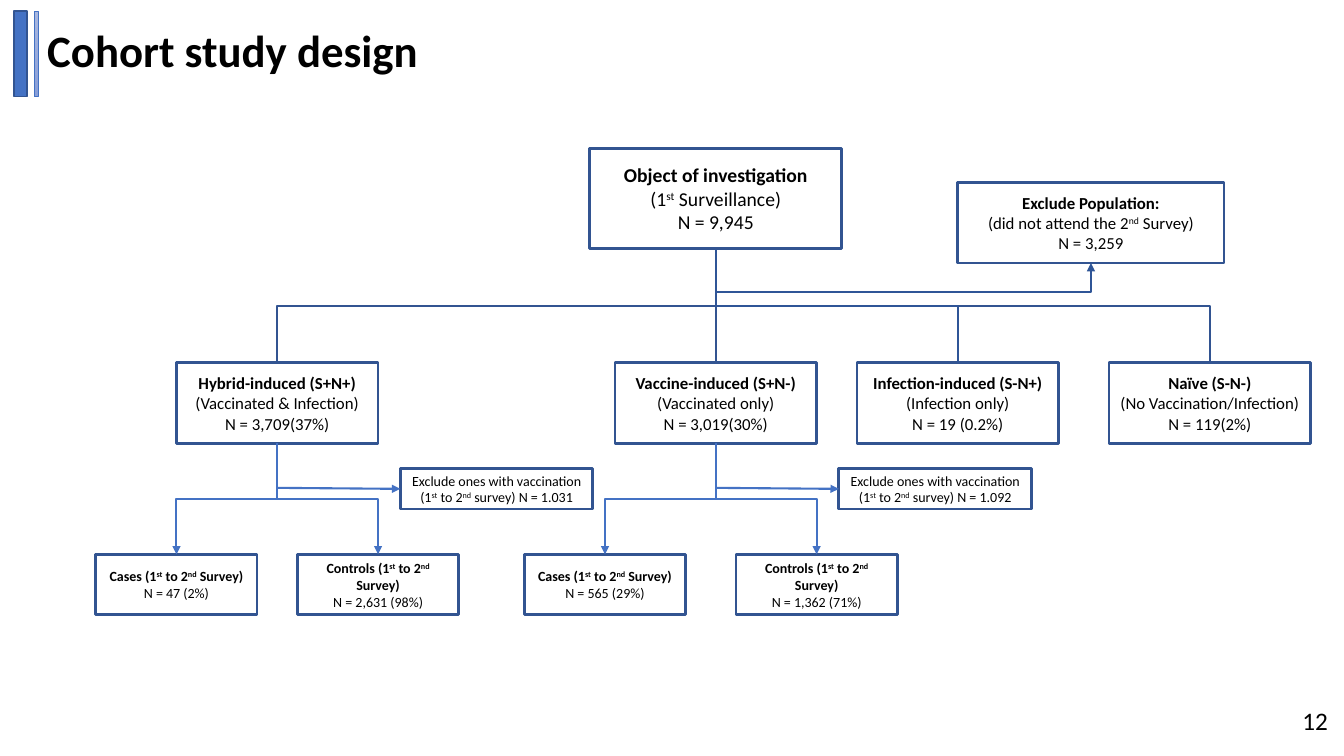
from lxml import etree
from pptx import Presentation, util as u
from pptx.dml.color import RGBColor
from pptx.enum import shapes, text
from pptx.oxml import ns

NAVY, DEEP, BLUE, BLACK = "325491", "2F5597", "4472C4", "000000"
FONT = "Calibri"
rgb = RGBColor.from_string

deck = Presentation()
deck.slide_width, deck.slide_height = u.Inches(13.33), u.Inches(7.5)
page = deck.slides.add_slide(deck.slide_layouts[6])


def write(box, lines, size, bold_first=True, align=text.PP_ALIGN.CENTER):
    """Fill a box with one paragraph per line; ^marks^ enclose superscripts."""
    frame = box.text_frame
    frame.word_wrap = True
    frame.vertical_anchor = text.MSO_ANCHOR.MIDDLE
    for index, line in enumerate(lines):
        para = frame.add_paragraph() if index else frame.paragraphs[0]
        para.alignment = align
        para.font.name, para.font.size = FONT, u.Pt(size)
        para.font.bold = bold_first and index == 0
        para.font.color.rgb = rgb(BLACK)
        for part, words in enumerate(line.split("^")):
            span = para.add_run()
            span.text = words
            if part % 2:
                span.font._element.set("baseline", "30000")


def add_bar(left, top, width, height, line_colour, line_width):
    bar = page.shapes.add_shape(shapes.MSO_SHAPE.RECTANGLE,
                                *map(u.Inches, (left, top, width, height)))
    bar.shadow.inherit = False
    bar.fill.background()
    bar.line.color.rgb = rgb(line_colour)
    bar.line.width = u.Pt(line_width)
    return bar


# Title and page number
title = page.shapes.add_textbox(*map(u.Inches, (0.37, 0.13, 4.22, 0.8)))
write(title, ["Cohort study design"], 32, align=text.PP_ALIGN.LEFT)
title.text_frame.paragraphs[0].line_spacing = 0.9
number = page.shapes.add_textbox(*map(u.Inches, (12.82, 6.95, 0.46, 0.4)))
write(number, ["12"], 18, bold_first=False, align=text.PP_ALIGN.LEFT)
number.text_frame.word_wrap = False

wide_bar = add_bar(0.14, 0.11, 0.13, 0.85, NAVY, 1)
wide_bar.fill.solid()
wide_bar.fill.fore_color.rgb = rgb(BLUE)
thin_bar = add_bar(0.34, 0.11, 0.04, 0.85, BLUE, 0.5)
thin_bar.fill.gradient()
thin_bar.fill.gradient_angle = 270
for stop, colour in zip(thin_bar.fill.gradient_stops, ("A8B7DF", "889ED7")):
    stop.color.rgb = rgb(colour)

# Rows of the flow chart, and the centre lines of its four groups
ROOT_TOP, ROOT_BOTTOM = 1.47, 2.47
GROUP_TOP, GROUP_BOTTOM = 3.6, 4.4
DROPOUT_TOP, DROPOUT_MIDDLE, OUTCOME_TOP = 4.65, 4.85, 5.5
HYBRID, VACCINE, INFECTION, NAIVE = 2.75, 7.1, 9.5, 12
EXCLUDED, EXCLUDED_BOTTOM = 10.82, 2.61

# centre, top, width, height, font size, lines
boxes = [
    (VACCINE, ROOT_TOP, 2.5, 1, 14,
     ["Object of investigation", "(1^st^ Surveillance)", "N = 9,945"]),
    (EXCLUDED, 1.81, 2.64, 0.8, 12,
     ["Exclude Population:", "(did not attend the 2^nd^ Survey)", "N = 3,259"]),
]
groups = [
    (HYBRID, "Hybrid-induced (S+N+)", "(Vaccinated & Infection)", "N = 3,709(37%)"),
    (VACCINE, "Vaccine-induced (S+N-)", "(Vaccinated only)", "N = 3,019(30%)"),
    (INFECTION, "Infection-induced (S-N+)", "(Infection only)", "N = 19 (0.2%)"),
    (NAIVE, "Naïve (S-N-)", "(No Vaccination/Infection)", "N = 119(2%)"),
]
boxes += [(centre, GROUP_TOP, 2, 0.8, 12, lines) for centre, *lines in groups]

# route, start, end, colour, arrowhead
links = [
    ("drop", (VACCINE, ROOT_BOTTOM), (HYBRID, GROUP_TOP), NAVY, False),
    ("straight", (VACCINE, ROOT_BOTTOM), (VACCINE, GROUP_TOP), NAVY, False),
    ("drop", (VACCINE, ROOT_BOTTOM), (NAIVE, GROUP_TOP), NAVY, False),
    ("drop", (VACCINE, ROOT_BOTTOM), (INFECTION, GROUP_TOP), DEEP, False),
    ("corner", (VACCINE, 2.9), (EXCLUDED, EXCLUDED_BOTTOM), DEEP, True),
]

# group, case centre, control centre, dropouts, cases, controls
surveys = [
    (HYBRID, 1.75, 3.75, "1.031", "47 (2%)", "2,631 (98%)"),
    (VACCINE, 6, 8.1, "1.092", "565 (29%)", "1,362 (71%)"),
]
for group, case, control, dropouts, cases, controls in surveys:
    dropout_left = group + 1.22
    boxes.append((dropout_left + 1.91 / 2, DROPOUT_TOP, 1.91, 0.4, 10, [
        f"Exclude ones with vaccination (1^st^ to 2^nd^ survey) N = {dropouts}"]))
    links.append(("straight", (group, DROPOUT_MIDDLE - 0.01),
                  (dropout_left, DROPOUT_MIDDLE), BLUE, True))
    for centre, name, count in ((case, "Cases", cases), (control, "Controls", controls)):
        boxes.append((centre, OUTCOME_TOP, 1.6, 0.6, 10,
                      [f"{name} (1^st^ to 2^nd^ Survey)", f"N = {count}"]))
        links.append(("drop", (group, GROUP_BOTTOM), (centre, OUTCOME_TOP), BLUE, True))

for centre, top, width, height, size, lines in boxes:
    box = add_bar(centre - width / 2, top, width, height, NAVY, 2)
    write(box, lines, size, bold_first=len(lines) > 1)

for route, (x1, y1), (x2, y2), colour, arrow in links:
    kind = shapes.MSO_CONNECTOR.STRAIGHT if route == "straight" else shapes.MSO_CONNECTOR.ELBOW
    lean = 1 if x2 > x1 else -1
    ends = x1, y1, x2, y2
    if route == "drop":  # an elbow lying on its side, turned to leave downwards
        middle_x, middle_y = (x1 + x2) / 2, (y1 + y2) / 2
        reach, rise = lean * (y2 - y1) / 2, abs(x2 - x1) / 2
        ends = middle_x + reach, middle_y - rise, middle_x - reach, middle_y + rise
    link = page.shapes.add_connector(kind, *map(u.Inches, ends))
    link.line.color.rgb = rgb(colour)
    link.line.width = u.Pt(1.5)
    properties = link._element.spPr
    if route == "drop":
        turn = 270 if lean > 0 else 90
        properties.find(ns.qn("a:xfrm")).set("rot", str(turn * 60000))
    elif route == "corner":
        properties.find(ns.qn("a:prstGeom")).set("prst", "bentConnector2")
    if arrow:
        etree.SubElement(properties.find(ns.qn("a:ln")), ns.qn("a:tailEnd"), type="triangle")
    etree.SubElement(properties, ns.qn("a:effectLst"))

deck.save("out.pptx")
